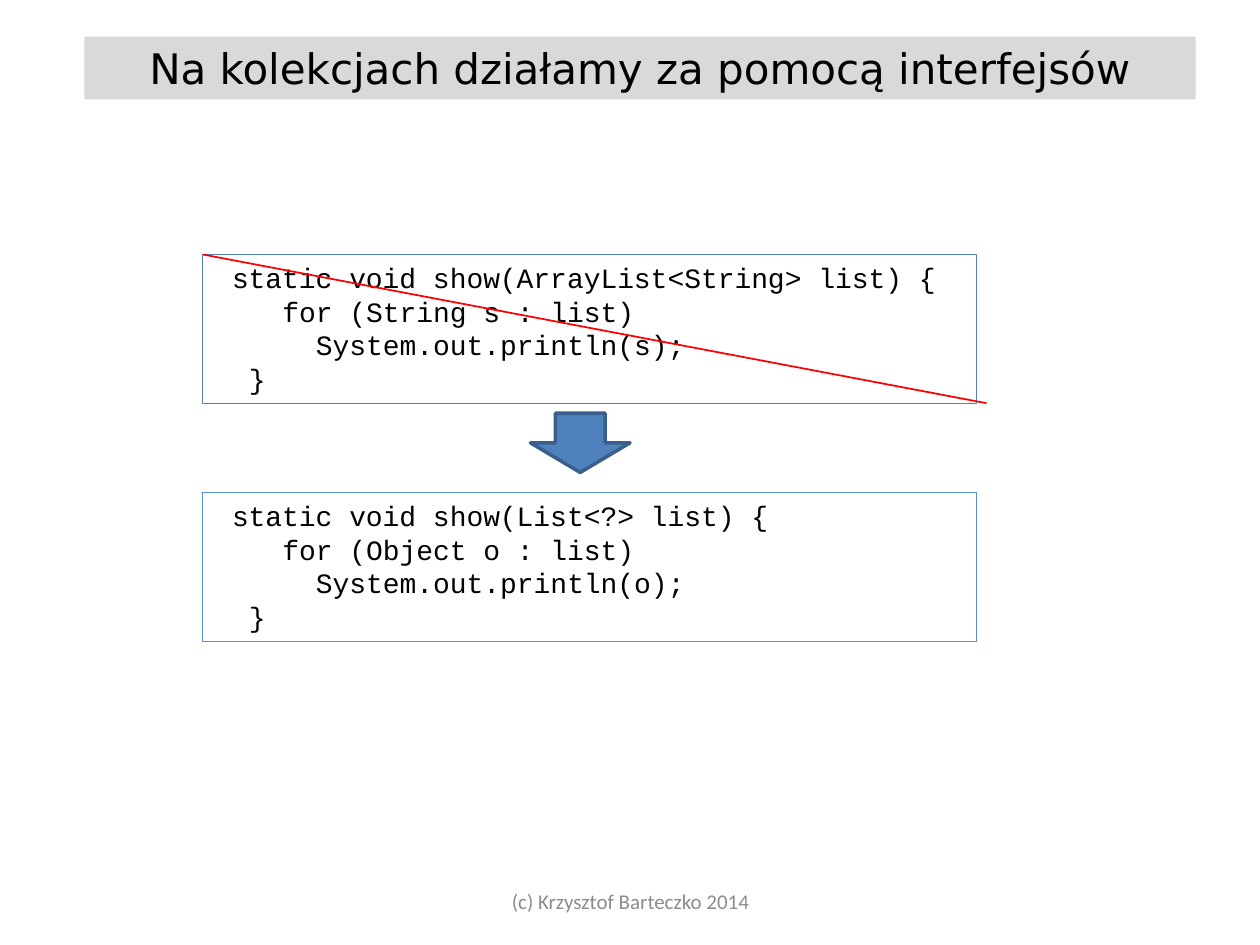
from dataclasses import dataclass

from lxml import etree
from pptx import Presentation
from pptx.dml.color import RGBColor
from pptx.enum.shapes import MSO_CONNECTOR, MSO_SHAPE
from pptx.enum.text import MSO_ANCHOR, PP_ALIGN
from pptx.oxml.ns import qn
from pptx.util import Inches, Pt

RECTANGLE, DOWN_ARROW = MSO_SHAPE.RECTANGLE, MSO_SHAPE.DOWN_ARROW
STRAIGHT = MSO_CONNECTOR.STRAIGHT
TOP, MIDDLE = MSO_ANCHOR.TOP, MSO_ANCHOR.MIDDLE
LEFT, CENTER = PP_ALIGN.LEFT, PP_ALIGN.CENTER

COLORS = {
    "text": "000000",
    "footer": "8C8C8C",
    "title_fill": "D9D9D9",
    "old_line": "4F81BD",
    "new_line": "558ED5",
    "arrow_fill": "4F81BD",
    "arrow_line": "3A5F8C",
    "strike": "FF0000",
}
CODE_SIZE = 16
CODE_COLUMN = Pt(CODE_SIZE * 0.6)  # width of one monospaced character
CODE_INDENTS = (1, 4, 6, 2)  # in code columns, one per line


@dataclass
class Area:
    left: float
    top: float
    width: float
    height: float

    def lengths(self) -> list:
        return [Inches(value) for value in (self.left, self.top, self.width, self.height)]


@dataclass
class CodeBlock:
    area: Area
    line_color: str
    lines: tuple


CODE_LEFT, CODE_WIDTH, CODE_HEIGHT = 1.61, 6.14, 1.18
OLD_TOP, NEW_TOP = 2.02, 3.91
STRIKE_OVERHANG = 0.08

CODE_BLOCKS = (
    CodeBlock(
        Area(CODE_LEFT, OLD_TOP, CODE_WIDTH, CODE_HEIGHT),
        "old_line",
        ("static void show(ArrayList<String> list) {", "for (String s : list)",
         "System.out.println(s);", "}"),
    ),
    CodeBlock(
        Area(CODE_LEFT, NEW_TOP, CODE_WIDTH, CODE_HEIGHT),
        "new_line",
        ("static void show(List<?> list) {", "for (Object o : list)",
         "System.out.println(o);", "}"),
    ),
)


def rgb(name: str) -> RGBColor:
    return RGBColor.from_string(COLORS[name])


def add_box(slide, area: Area, fill: str = "", line: str = "", line_width: float = 0.75,
            kind=RECTANGLE):
    box = slide.shapes.add_shape(kind, *area.lengths())
    box.shadow.inherit = False
    if fill:
        box.fill.solid()
        box.fill.fore_color.rgb = rgb(fill)
    else:
        box.fill.background()
    if line:
        box.line.color.rgb = rgb(line)
        box.line.width = Pt(line_width)
    else:
        box.line.fill.background()
    return box


def write(box, lines: tuple, font: str, size: float, color: str = "text",
          align=CENTER, anchor=TOP) -> None:
    frame = box.text_frame
    frame.word_wrap = True
    frame.vertical_anchor = anchor
    frame.text = "\n".join(lines)
    for para in frame.paragraphs:
        para.alignment = align
        para.font.name = font
        para.font.size = Pt(size)
        para.font.color.rgb = rgb(color)


def add_code(slide, block: CodeBlock) -> None:
    box = add_box(slide, block.area, line=block.line_color)
    write(box, block.lines, "Courier New", CODE_SIZE, align=LEFT)
    for para, columns in zip(box.text_frame.paragraphs, CODE_INDENTS):
        properties = para._p.get_or_add_pPr()
        properties.set("marL", str(int(columns * CODE_COLUMN)))
        properties.set("indent", "0")


def add_strike(slide, area: Area) -> None:
    """Cross an area out from its top left to just past its bottom right."""
    left, top, width, height = area.lengths()
    strike = slide.shapes.add_connector(
        STRAIGHT, left, top, left + width + Inches(STRIKE_OVERHANG), top + height)
    strike.line.color.rgb = rgb("strike")
    strike.line.width = Pt(1)
    etree.SubElement(strike._element.spPr, qn("a:effectLst"))


def main() -> None:
    deck = Presentation()
    deck.slide_width, deck.slide_height = Inches(10), Inches(7.5)
    slide = deck.slides.add_slide(deck.slide_layouts[6])

    footer = slide.shapes.add_textbox(*Area(3.42, 6.95, 3.17, 0.4).lengths())
    write(footer, ("(c) Krzysztof Barteczko 2014",), "Calibri", 12, "footer", anchor=MIDDLE)

    title = add_box(slide, Area(0.67, 0.29, 8.82, 0.5), fill="title_fill")
    write(title, ("Na kolekcjach działamy za pomocą interfejsów",), "DejaVu Sans", 24)

    old_code, new_code = CODE_BLOCKS
    add_code(slide, old_code)
    add_strike(slide, old_code.area)
    add_code(slide, new_code)
    add_box(slide, Area(4.21, 3.28, 0.79, 0.47), "arrow_fill", "arrow_line", 2, DOWN_ARROW)

    deck.save("out.pptx")


if __name__ == "__main__":
    main()
